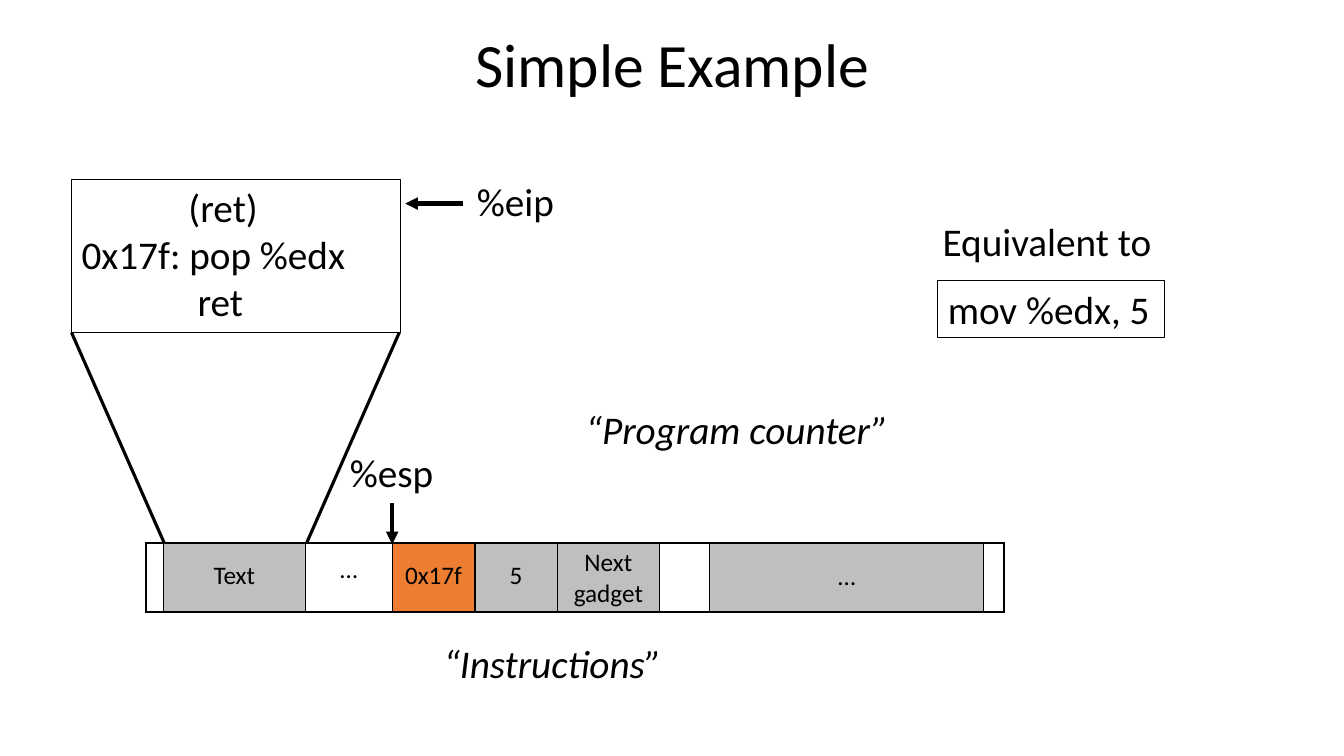
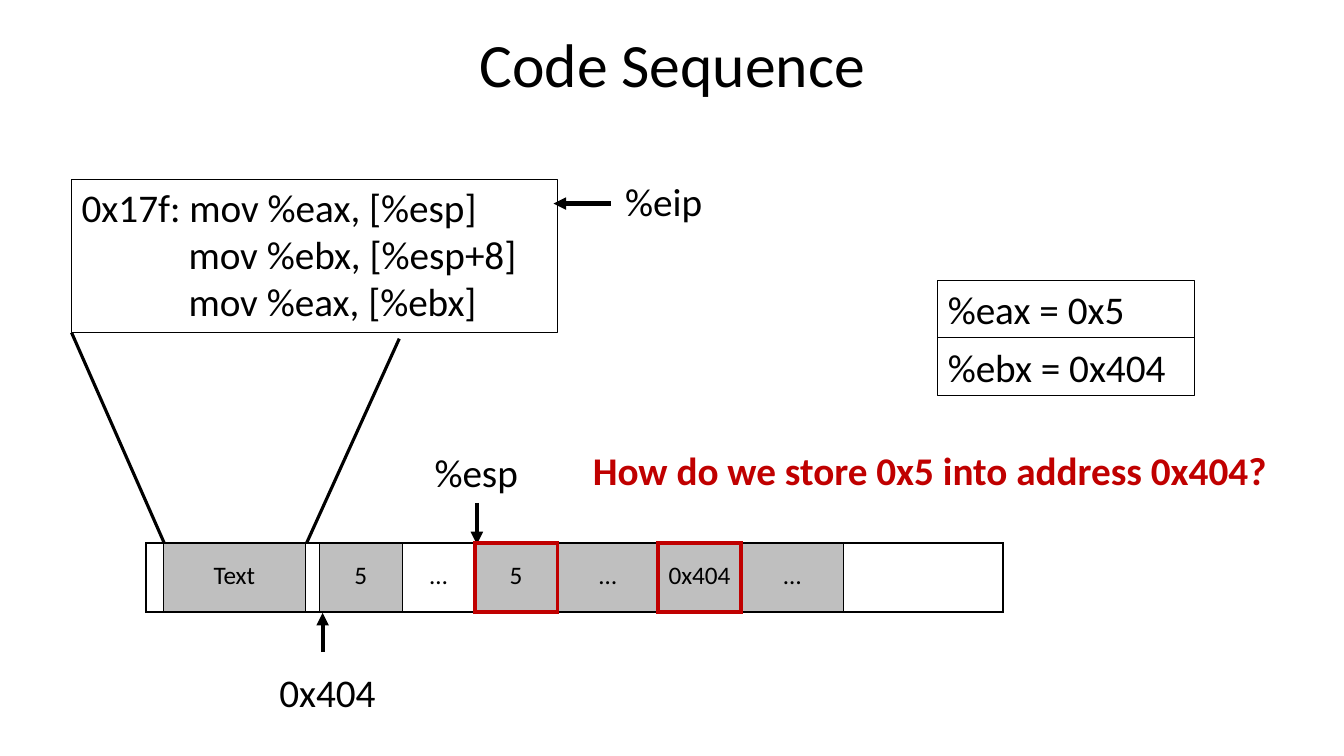
from dataclasses import dataclass

from lxml import etree
from pptx import Presentation
from pptx.dml.color import RGBColor
from pptx.enum import shapes, text
from pptx.oxml import ns
from pptx.util import Inches, Pt


@dataclass(frozen=True)
class Theme:
    font: str = "Calibri"
    ink: str = "000000"
    gray: str = "BFBFBF"
    orange: str = "ED7D31"
    red: str = "C00000"
    title: int = 44
    body: int = 28
    small: int = 18
    hair: float = 0.75
    thin: float = 1
    thick: float = 1.5
    slant: float = 2.25
    bold: float = 3


T = Theme()


@dataclass
class Cell:
    width: float
    label: str = ""
    fill: str = ""
    edge: float = T.thin
    top: float = 0.17


def color(code):
    return RGBColor.from_string(code)


def child(parent, tag, **attrs):
    return etree.SubElement(parent, ns.qn(tag), attrs)


def write(frame, lines, size=T.body, ink=T.ink, bold=False, italic=False,
          align=text.PP_ALIGN.LEFT, anchor=text.MSO_ANCHOR.TOP, top=0):
    frame.word_wrap = True
    frame.vertical_anchor = anchor
    frame.margin_left = frame.margin_right = frame.margin_bottom = 0
    frame.margin_top = Inches(top)
    for i, (indent, line) in enumerate(lines):
        para = frame.paragraphs[0] if i == 0 else frame.add_paragraph()
        para.alignment = align
        if indent:
            para._p.get_or_add_pPr().set("marL", str(Inches(indent)))
        run = para.add_run()
        run.text = line
        font = run.font
        font.name, font.size = T.font, Pt(size)
        font.bold, font.italic = bold, italic
        font.color.rgb = color(ink)


def label(slide, words, x, y, w, h=0.48, **style):
    box = slide.shapes.add_textbox(Inches(x), Inches(y), Inches(w), Inches(h))
    write(box.text_frame, [(0, words)], **style)


def panel(slide, lines, x, y, w, h, **style):
    box = slide.shapes.add_shape(shapes.MSO_SHAPE.RECTANGLE,
                                 Inches(x), Inches(y), Inches(w), Inches(h))
    box.shadow.inherit = False
    box.fill.background()
    box.line.color.rgb = color(T.ink)
    box.line.width = Pt(T.hair)
    write(box.text_frame, lines, **style)


def line(slide, x1, y1, x2, y2, width=T.slant, arrow=False):
    link = slide.shapes.add_connector(shapes.MSO_CONNECTOR.STRAIGHT,
                                      Inches(x1), Inches(y1), Inches(x2), Inches(y2))
    link.line.color.rgb = color(T.ink)
    link.line.width = Pt(width)
    if arrow:
        child(link.line._get_or_add_ln(), "a:tailEnd", type="triangle", w="med", len="med")
    child(link._element.spPr, "a:effectLst")


def code(slide, lines, w):
    panel(slide, lines, 0.71, 1.78, w, 1.52, top=0.04)


def fact(slide, words, row, w):
    panel(slide, [(0.1, words)], 9.3, 2.78 + row * 0.57, w, 0.57,
          anchor=text.MSO_ANCHOR.MIDDLE)


def funnel(slide, right):
    line(slide, 0.71, 3.3, 1.63, 5.39)
    line(slide, 3.96, right, 3.04, 5.39)


def eip(slide, x):
    line(slide, x + 0.57, 2.02, x, 2.02, T.bold, arrow=True)
    label(slide, "%eip", x + 0.71, 1.76, 0.9)


def esp(slide, x):
    line(slide, x, 4.99, x, 5.4, T.bold, arrow=True)
    label(slide, "%esp", x - 0.42, 4.45, 0.95)


def border(props, side, width):
    ln = child(props, "a:ln" + side, w=str(Pt(width)))
    fill = child(ln, "a:solidFill")
    child(fill, "a:srgbClr", val=T.red if width == T.bold else T.ink)


def memory(slide, cells):
    total = sum(c.width for c in cells)
    table = slide.shapes.add_table(1, len(cells), Inches(1.45), Inches(5.39),
                                   Inches(total), Inches(0.68)).table
    table.first_row = table.horz_banding = False
    table.rows[0].height = Inches(0.68)
    outer = [T.thick] + [c.edge for c in cells] + [T.thick]
    walls = [max(pair) for pair in zip(outer, outer[1:])]
    for i, item in enumerate(cells):
        table.columns[i].width = Inches(item.width)
        cell = table.cell(0, i)
        props = cell._tc.get_or_add_tcPr()
        rim = max(item.edge, T.thick)
        for side, width in zip("LRTB", (walls[i], walls[i + 1], rim, rim)):
            border(props, side, width)
        if item.fill:
            cell.fill.solid()
            cell.fill.fore_color.rgb = color(item.fill)
        else:
            cell.fill.background()
        cell.margin_left = cell.margin_right = cell.margin_bottom = 0
        cell.margin_top = Inches(item.top)
        write(cell.text_frame, [(0, item.label)] if item.label else [],
              size=T.small, align=text.PP_ALIGN.CENTER, top=item.top)


def page(deck, title):
    slide = deck.slides.add_slide(deck.slide_layouts[6])
    label(slide, title, 1, 0.26, 11.34, 0.76, size=T.title, align=text.PP_ALIGN.CENTER)
    return slide


def simple(deck):
    slide = page(deck, "Simple Example")
    memory(slide, [
        Cell(0.17), Cell(1.41, "Text", T.gray), Cell(0.86, "…", top=0.11),
        Cell(0.82, "0x17f", T.orange), Cell(0.82, "5", T.gray, T.thick),
        Cell(1.01, "Next gadget", T.gray, top=0.04), Cell(0.5),
        Cell(2.72, "…", T.gray, top=0.18), Cell(0.2)])
    label(slide, "Equivalent to", 9.35, 2.16, 2.4)
    fact(slide, "mov %edx, 5", 0, 2.25)
    label(slide, "“Program counter”", 5.81, 4.02, 3.3, italic=True)
    label(slide, "“Instructions”", 4.4, 6.34, 2.5, italic=True)
    esp(slide, 3.89)
    funnel(slide, 3.3)
    code(slide, [(1.16, "(ret)"), (0.1, "0x17f: pop %edx"), (1.25, "ret")], 3.26)
    eip(slide, 4.02)


def sequence(deck):
    slide = page(deck, "Code Sequence")
    fact(slide, "%eax = 0x5", 0, 2.55)
    fact(slide, "%ebx = 0x404", 1, 2.55)
    esp(slide, 4.73)
    funnel(slide, 3.36)
    code(slide, [(0.1, "0x17f: mov %eax, [%esp]"), (1.16, "mov %ebx, [%esp+8]"),
                 (1.16, "mov %eax, [%ebx]")], 4.82)
    memory(slide, [
        Cell(0.17), Cell(1.41, "Text", T.gray), Cell(0.14), Cell(0.82, "5", T.gray),
        Cell(0.72, "…"), Cell(0.82, "5", T.gray, T.bold), Cell(1, "…", T.gray),
        Cell(0.82, "0x404", T.gray, T.bold), Cell(1.02, "…", T.gray), Cell(1.58)])
    eip(slide, 5.49)
    line(slide, 3.2, 6.47, 3.2, 6.08, T.bold, arrow=True)
    label(slide, "0x404", 2.77, 6.63, 1.1)
    label(slide, "How do we store 0x5 into address 0x404?", 5.88, 4.43, 7.2,
          ink=T.red, bold=True)


def main():
    deck = Presentation()
    deck.slide_width, deck.slide_height = Inches(13.33), Inches(7.5)
    simple(deck)
    sequence(deck)
    deck.save("out.pptx")


if __name__ == "__main__":
    main()
